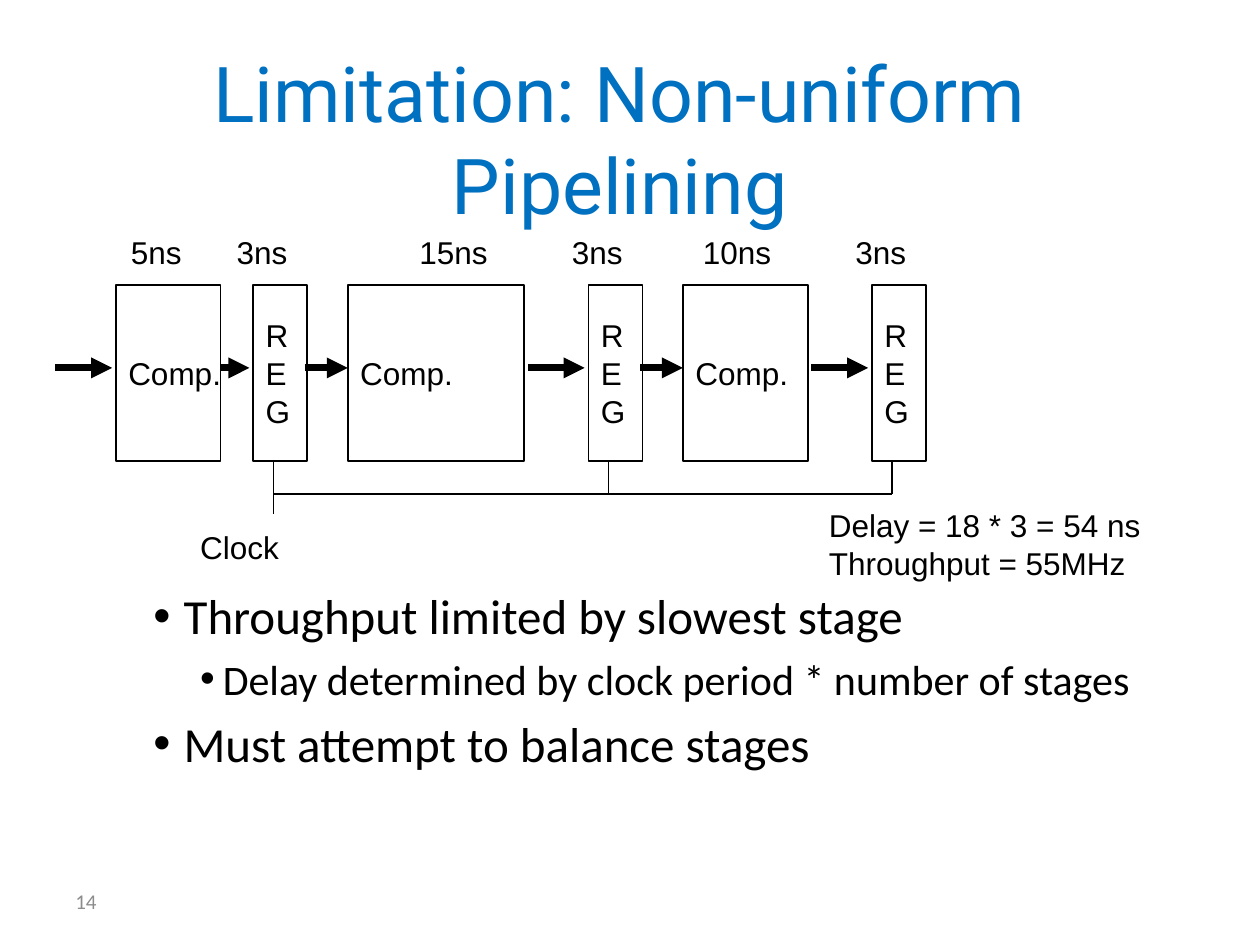
from collections import namedtuple

from lxml.etree import SubElement
from pptx import Presentation
from pptx.dml.color import RGBColor
from pptx.enum.shapes import MSO_CONNECTOR as CONN, MSO_SHAPE as SHAPE
from pptx.enum.text import MSO_ANCHOR as ANCHOR, PP_ALIGN as ALIGN
from pptx.oxml.ns import qn
from pptx.util import Inches, Pt

BLACK = RGBColor(0x00, 0x00, 0x00)
WHITE = RGBColor(0xFF, 0xFF, 0xFF)
BLUE = RGBColor(0x00, 0x70, 0xC0)
GRAY = RGBColor(0x8C, 0x8C, 0x8C)

COLS, ROWS = 100, 75  # slide grid with square cells
CELL = 0.1            # inches per cell

Box = namedtuple("Box", "x y w h")
Stage = namedtuple("Stage", "comp comp_w delay delay_x reg")

# Columns counted from the left of the pipeline
STAGES = [
    Stage(4.8, 8.3, "5ns", 5, 15.7),
    Stage(23.2, 14, "15ns", 27.9, 42.3),
    Stage(49.8, 9.9, "10ns", 50.4, 64.8),
]
REG_W, BLOCK_TOP, BLOCK_H = 4.3, 4.6, 14
FLOW_Y, CLOCK_TOP, CLOCK_Y, CLOCK_END = 11.2, 18.7, 21.2, 22.8
CLOCK_DX = 1.6

BULLETS = [
    (0, "Throughput limited by slowest stage"),
    (1, "Delay determined by clock period * number of stages"),
    (0, "Must attempt to balance stages"),
]
# size, text indent and hanging indent in inches for each bullet level
LEVELS = [(28, 0.61, -0.24), (24, 0.92, -0.18)]


def cells(*values):
    return [Inches(v * CELL) for v in values]


def write(sp, text, size=18, font="Arial", color=BLACK, align=ALIGN.LEFT,
          anchor=ANCHOR.TOP, wrap=False, inset=(0.1, 0.05)):
    tf = sp.text_frame
    tf.word_wrap = wrap
    tf.vertical_anchor = anchor
    tf.margin_left = tf.margin_right = Inches(inset[0])
    tf.margin_top = tf.margin_bottom = Inches(inset[1])
    for i, line in enumerate(text.split("\n")):
        p = tf.paragraphs[0] if i == 0 else tf.add_paragraph()
        p.alignment = align
        r = p.add_run()
        r.text = line
        r.font.size, r.font.name = Pt(size), font
        r.font.color.rgb = color
    return tf


def add_text(shapes, box, text, **fmt):
    return write(shapes.add_textbox(*cells(*box)), text, **fmt)


def add_block(shapes, box, text):
    sp = shapes.add_shape(SHAPE.RECTANGLE, *cells(*box))
    sp.shadow.inherit = False
    sp.fill.solid()
    sp.fill.fore_color.rgb = WHITE
    sp.line.color.rgb = BLACK
    sp.line.width = Pt(1)
    write(sp, text, anchor=ANCHOR.MIDDLE)


def add_line(shapes, x1, y1, x2, y2, width=1, arrow=False):
    c = shapes.add_connector(CONN.STRAIGHT, *cells(x1, y1, x2, y2))
    c.line.color.rgb = BLACK
    c.line.width = Pt(width)
    if arrow:
        SubElement(c.line._get_or_add_ln(), qn("a:tailEnd"), type="triangle")
    SubElement(c._element.spPr, qn("a:effectLst"))


def add_stage(shapes, box, stage, entry, clock_end):
    """Draw one computation and its register; entry is the start and end of the arrow into it."""
    x, y = box.x, box.y
    comp, reg = x + stage.comp, x + stage.reg
    flow = y + FLOW_Y
    add_block(shapes, Box(reg, y + BLOCK_TOP, REG_W, BLOCK_H), "R\nE\nG")
    for start, end in (entry, (reg - 4.8, reg - 0.3)):
        add_line(shapes, start, flow, end, flow, width=4, arrow=True)
    clock = reg + CLOCK_DX
    add_line(shapes, clock, y + CLOCK_TOP, clock, y + clock_end)
    add_block(shapes, Box(comp, y + BLOCK_TOP, stage.comp_w, BLOCK_H), "Comp.")
    delay_w = 2.8 + 1.3 * len(stage.delay)
    add_text(shapes, Box(x + stage.delay_x, y, delay_w, 4.1), stage.delay)
    add_text(shapes, Box(reg - 2.3, y, 6.6, 4.1), "3ns")


def add_pipeline(slide, box):
    shapes = slide.shapes.add_group_shape().shapes
    for i, stage in enumerate(STAGES):
        comp = box.x + stage.comp
        if i == 0:
            entry, clock_end = (box.x, comp - 0.3), CLOCK_END
        else:
            entry = (box.x + STAGES[i - 1].reg + REG_W - 0.2, comp)
            clock_end = CLOCK_Y
        add_stage(shapes, box, stage, entry, clock_end)
    first, last = (box.x + s.reg + CLOCK_DX for s in (STAGES[0], STAGES[-1]))
    add_line(shapes, first, box.y + CLOCK_Y, last, box.y + CLOCK_Y)


def add_captions(slide, box):
    add_text(slide.shapes, Box(box.x, box.y + 1.7, 13.1, 4.1), "Clock")
    split = 49.9
    add_text(slide.shapes, Box(box.x + split, box.y, box.w - split, box.h),
             "Delay = 18 * 3 = 54 ns\nThroughput = 55MHz")


def add_bullets(slide, box):
    tf = add_text(slide.shapes, box, "\n".join(t for _, t in BULLETS),
                  font="Calibri", wrap=True)
    for p, (level, _) in zip(tf.paragraphs, BULLETS):
        size, left, hang = LEVELS[level]
        p.level = level
        p.runs[0].font.size = Pt(size)
        p.space_before = Pt(size * 0.2)
        pPr = p._p.get_or_add_pPr()
        pPr.set("marL", str(Inches(left)))
        pPr.set("indent", str(Inches(hang)))
        SubElement(pPr, qn("a:buFont"), typeface="Arial")
        SubElement(pPr, qn("a:buChar"), char="•")


def main():
    prs = Presentation()
    prs.slide_width, prs.slide_height = cells(COLS, ROWS)
    slide = prs.slides.add_slide(prs.slide_layouts[6])
    add_text(slide.shapes, Box(5, 69.5, 23.3, 4), "14", size=12,
             font="Calibri", color=GRAY, anchor=ANCHOR.MIDDLE)
    add_text(slide.shapes, Box(5, 3.3, 88.4, 8),
             "Limitation: Non-uniform Pipelining", size=44, font="Roboto",
             color=BLUE, align=ALIGN.CENTER, wrap=True, inset=(0.07, 0.03))
    add_pipeline(slide, Box(4.4, 18, 69.1, 22.8))
    add_captions(slide, Box(14.9, 39.7, 85, 7.1))
    add_bullets(slide, Box(7.5, 46, 85, 23.1))
    prs.save("out.pptx")


if __name__ == "__main__":
    main()
